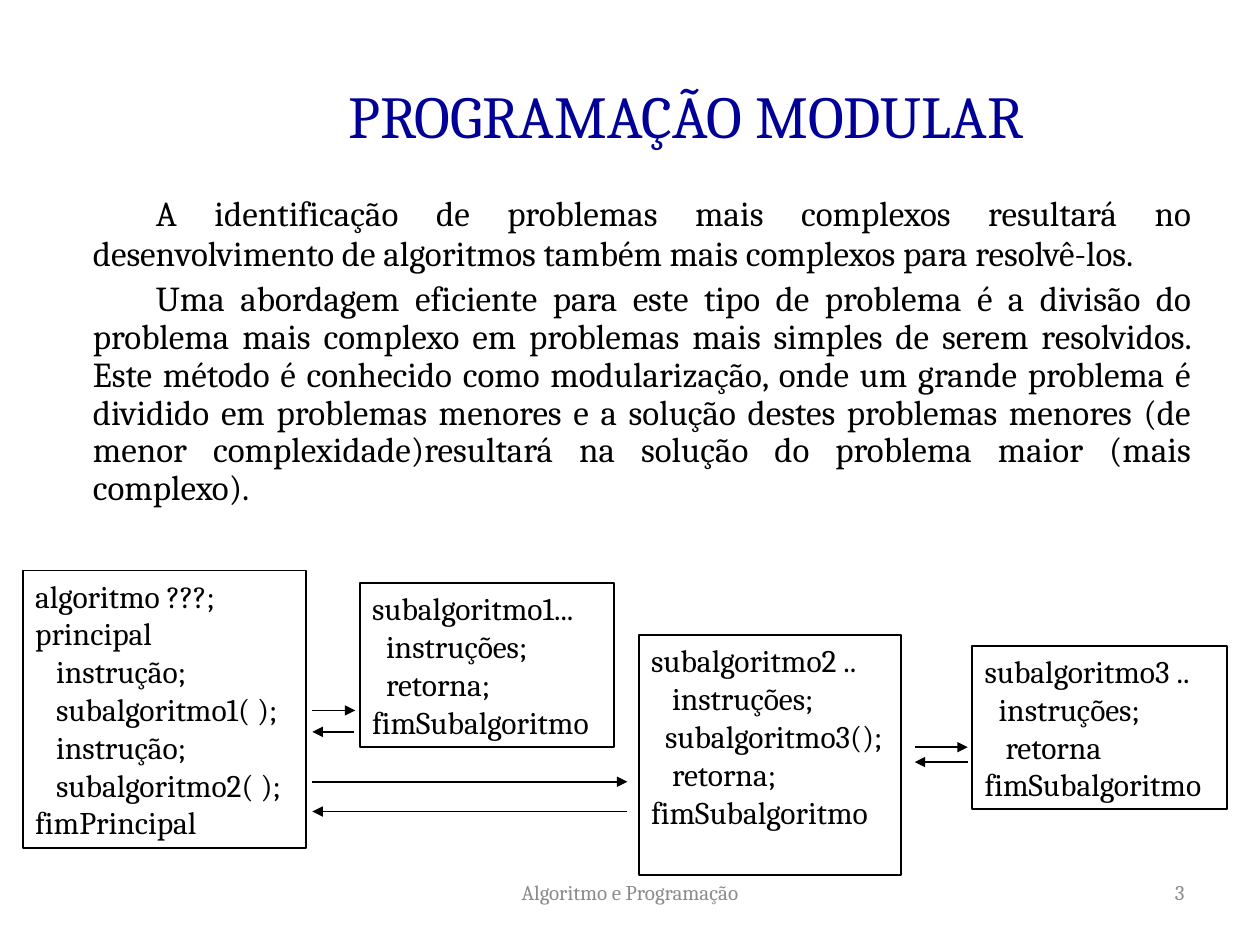
from dataclasses import dataclass

from lxml.etree import SubElement
from pptx import Presentation
from pptx.dml.color import RGBColor
from pptx.enum.shapes import MSO_CONNECTOR, MSO_SHAPE
from pptx.enum.text import MSO_ANCHOR, PP_ALIGN
from pptx.oxml.ns import qn
from pptx.slide import Slide
from pptx.text.text import Font, TextFrame
from pptx.util import Pt

COLORS = {"title": "000099", "text": "000000", "footer": "8B8B8B", "line": "000000", "box": "FFFFFF"}
FONT_NAME = "Cambria"
INDENT_STEP = 4


@dataclass
class Label:
    left: float
    top: float
    width: float
    height: float
    text: str
    size: float
    color: str
    alignment: PP_ALIGN


@dataclass
class CodeBox:
    left: float
    top: float
    width: float
    height: float
    lines: list[tuple[int, str]]
    wrap: bool = False


@dataclass
class Arrow:
    start: float
    end: float
    y: float


LABELS = [
    Label(246, 495.5, 228, 28.75, "Algoritmo e Programação", 12, "footer", PP_ALIGN.CENTER),
    Label(516, 495.5, 168, 28.75, "3", 12, "footer", PP_ALIGN.RIGHT),
    Label(56, 44.5, 672, 42, "PROGRAMAÇÃO MODULAR", 34, "title", PP_ALIGN.CENTER),
]

CODE_BOXES = [
    CodeBox(13, 326, 162, 158.5, [
        (0, "algoritmo ???;"), (0, "principal"), (3, "instrução;"), (3, "subalgoritmo1( );"),
        (3, "instrução;"), (3, "subalgoritmo2( );"), (0, "fimPrincipal"),
    ]),
    CodeBox(205.5, 333.25, 145.5, 93.5, [
        (0, "subalgoritmo1..."), (2, "instruções;"), (2, "retorna;"), (0, "fimSubalgoritmo"),
    ]),
    CodeBox(365, 363, 150, 137, [
        (0, "subalgoritmo2 .."), (3, "instruções;"), (2, "subalgoritmo3();"),
        (3, "retorna;"), (0, "fimSubalgoritmo"),
    ], wrap=True),
    CodeBox(555.5, 369, 145.5, 93.5, [
        (0, "subalgoritmo3 .."), (2, "instruções;"), (3, "retorna"), (0, "fimSubalgoritmo"),
    ]),
]

ARROWS = [
    Arrow(178.5, 203, 406),
    Arrow(178.5, 358.5, 446.75),
    Arrow(522.75, 553, 427),
    Arrow(202.5, 178.5, 418.25),
    Arrow(358.5, 178.5, 463.75),
    Arrow(553, 522.75, 435.5),
]

BODY = [
    (5.6, [("\t", 28), (
        "A identificação de problemas mais complexos resultará no desenvolvimento de "
        "algoritmos também mais complexos para resolvê-los.", 20)]),
    (4, [(
        "\tUma abordagem eficiente para este tipo de problema é a divisão do problema mais "
        "complexo em problemas mais simples de serem resolvidos. Este método é conhecido como "
        "modularização, onde um grande problema é dividido em problemas menores e a solução "
        "destes problemas menores (de menor complexidade)resultará na solução do problema "
        "maior (mais complexo).", 20)]),
]


def style_font(font: Font, size: float, color: str) -> None:
    font.name = FONT_NAME
    font.size = Pt(size)
    font.color.rgb = RGBColor.from_string(COLORS[color])


def set_margins(frame: TextFrame) -> None:
    frame.margin_left = frame.margin_right = Pt(7.2)
    frame.margin_top = frame.margin_bottom = Pt(3.6)


def add_label(slide: Slide, label: Label) -> None:
    shape = slide.shapes.add_textbox(Pt(label.left), Pt(label.top), Pt(label.width), Pt(label.height))
    frame = shape.text_frame
    frame.word_wrap = True
    frame.vertical_anchor = MSO_ANCHOR.MIDDLE
    set_margins(frame)
    paragraph = frame.paragraphs[0]
    paragraph.text = label.text
    paragraph.alignment = label.alignment
    style_font(paragraph.font, label.size, label.color)


def add_code_box(slide: Slide, box: CodeBox) -> None:
    shape = slide.shapes.add_shape(
        MSO_SHAPE.RECTANGLE, Pt(box.left), Pt(box.top), Pt(box.width), Pt(box.height))
    shape.shadow.inherit = False
    shape.fill.solid()
    shape.fill.fore_color.rgb = RGBColor.from_string(COLORS["box"])
    shape.line.color.rgb = RGBColor.from_string(COLORS["line"])
    shape.line.width = Pt(1)
    frame = shape.text_frame
    frame.word_wrap = box.wrap
    frame.vertical_anchor = MSO_ANCHOR.TOP
    set_margins(frame)
    for index, (level, text) in enumerate(box.lines):
        paragraph = frame.add_paragraph() if index else frame.paragraphs[0]
        paragraph.text = text
        paragraph.alignment = PP_ALIGN.LEFT
        paragraph._p.get_or_add_pPr().set("marL", str(Pt(level * INDENT_STEP)))
        style_font(paragraph.font, 18, "text")


def add_arrow(slide: Slide, arrow: Arrow) -> None:
    connector = slide.shapes.add_connector(
        MSO_CONNECTOR.STRAIGHT, Pt(arrow.start), Pt(arrow.y), Pt(arrow.end), Pt(arrow.y))
    connector.line.color.rgb = RGBColor.from_string(COLORS["line"])
    connector.line.width = Pt(1)
    SubElement(connector.line._get_or_add_ln(), qn("a:tailEnd"), type="triangle")
    SubElement(connector._element.spPr, qn("a:effectLst"))


def add_body(slide: Slide) -> None:
    shape = slide.shapes.add_textbox(Pt(46), Pt(101.5), Pt(642), Pt(216))
    frame = shape.text_frame
    frame.word_wrap = True
    set_margins(frame)
    for index, (space_before, runs) in enumerate(BODY):
        paragraph = frame.add_paragraph() if index else frame.paragraphs[0]
        paragraph.alignment = PP_ALIGN.JUSTIFY
        paragraph.line_spacing = 0.9
        paragraph.space_before = Pt(space_before)
        for text, size in runs:
            run = paragraph.add_run()
            run.text = text
            style_font(run.font, size, "text")


def main() -> None:
    presentation = Presentation()
    presentation.slide_width = Pt(720)
    presentation.slide_height = Pt(540)
    slide = presentation.slides.add_slide(presentation.slide_layouts[6])
    for label in LABELS:
        add_label(slide, label)
    for box in CODE_BOXES:
        add_code_box(slide, box)
    for arrow in ARROWS:
        add_arrow(slide, arrow)
    add_body(slide)
    presentation.save("out.pptx")


if __name__ == "__main__":
    main()
